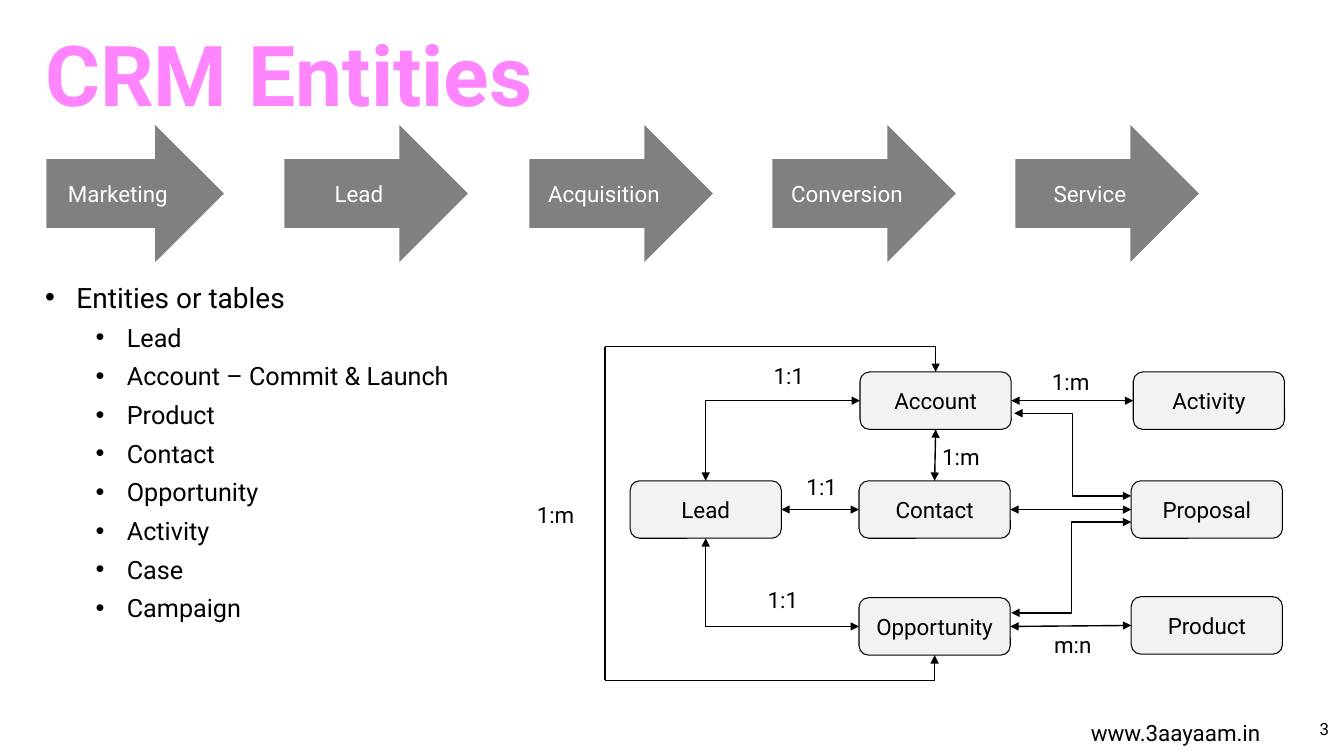
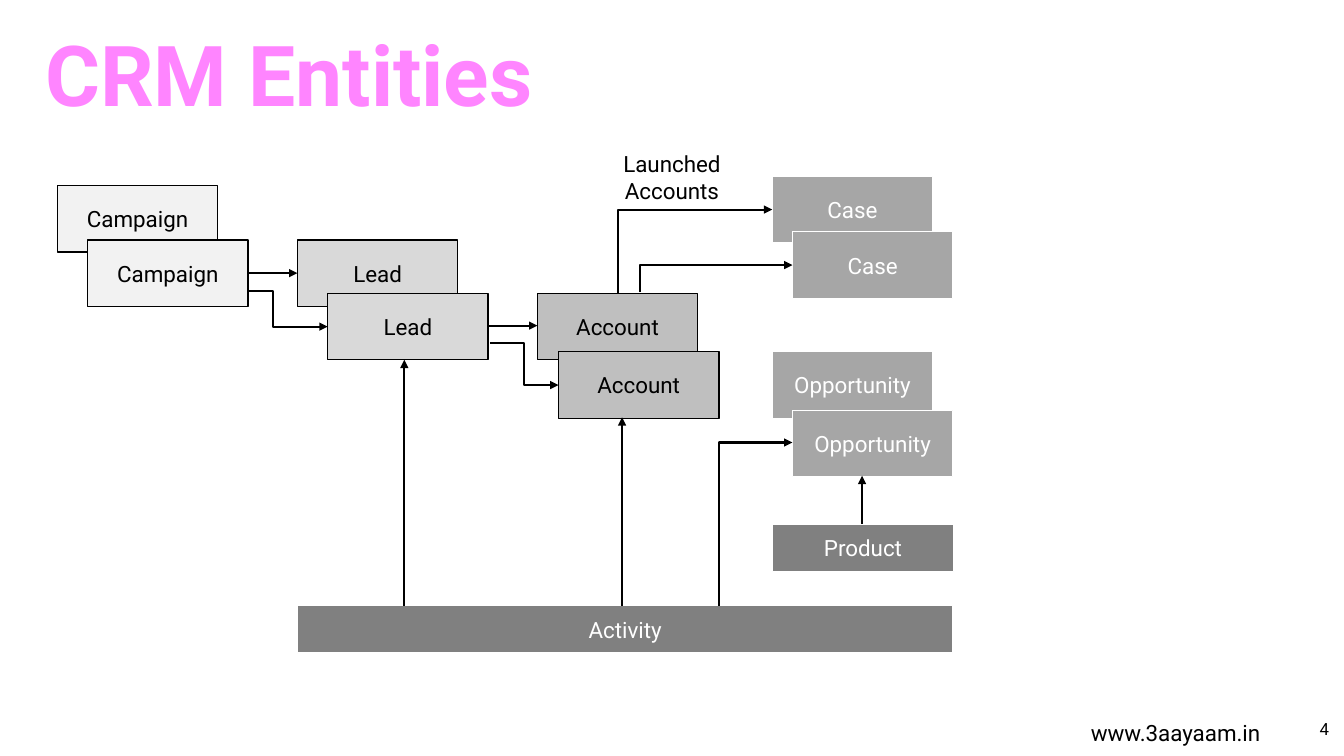
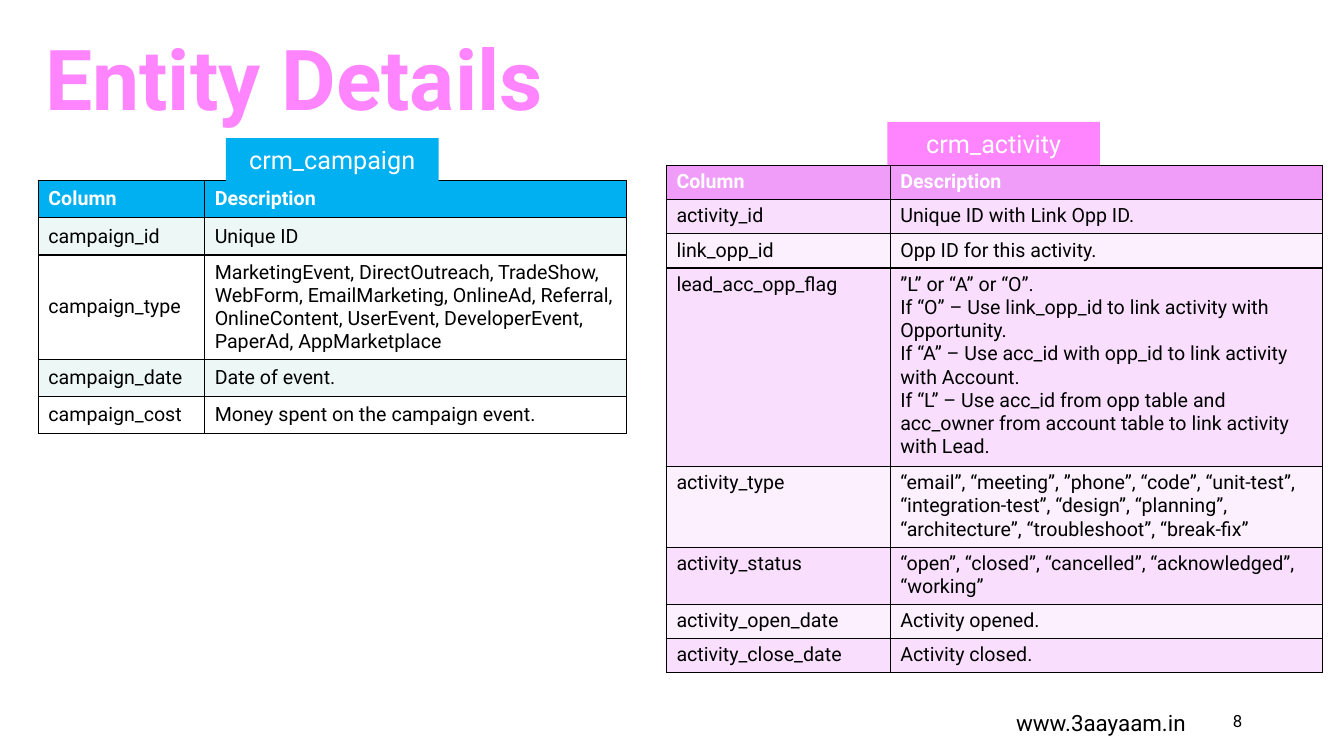
from lxml.etree import SubElement
from pptx import Presentation
from pptx.dml.color import RGBColor
from pptx.enum.shapes import MSO_CONNECTOR, MSO_SHAPE
from pptx.enum.text import MSO_ANCHOR, MSO_AUTO_SIZE, PP_ALIGN
from pptx.oxml.ns import qn
from pptx.util import Inches, Pt

FONT = "Roboto"
BLACK, WHITE, PINK, BLUE = "000000", "FFFFFF", "FF85FF", "00B0F0"
PALE, LIGHT, MID, SOFT, GRAY = "F2F2F2", "D9D9D9", "BFBFBF", "A6A6A6", "808080"
TOP, LEFT, BOTTOM, RIGHT = range(4)


def rgb(code):
    return RGBColor.from_string(code)


def style(para, size, color=BLACK, bold=False, align=PP_ALIGN.LEFT):
    para.alignment = align
    font = para.font
    font.name, font.size, font.bold = FONT, Pt(size), bold
    font.color.rgb = rgb(color)


def text(slide, words, box, size=16, align=PP_ALIGN.CENTER, anchor=MSO_ANCHOR.TOP):
    frame = slide.shapes.add_textbox(*map(Inches, box)).text_frame
    frame.word_wrap = True
    frame.vertical_anchor = anchor
    frame.text = words
    style(frame.paragraphs[0], size, align=align)


def page(deck, title, number, height=1.14, foot=(10.3, 7.07, 2.72, 0.4),
         corner=(12.76, 7.03, 0.52, 0.4)):
    slide = deck.slides.add_slide(deck.slide_layouts[5])
    head = slide.shapes.title
    head.left, head.top, head.width, head.height = map(
        Inches, (0.35, 0.15, 12.57, height))
    frame = head.text_frame
    frame.text = title
    frame.auto_size = MSO_AUTO_SIZE.NONE
    frame.vertical_anchor = MSO_ANCHOR.MIDDLE
    style(frame.paragraphs[0], 60, PINK, True)
    text(slide, "www.3aayaam.in", foot, anchor=MSO_ANCHOR.MIDDLE)
    text(slide, number, corner, 12, PP_ALIGN.RIGHT, MSO_ANCHOR.MIDDLE)
    return slide


def block(slide, kind, words, box, fill, color=WHITE, line=None, width=1, size=16):
    shape = slide.shapes.add_shape(kind, *map(Inches, box))
    shape.shadow.inherit = False
    shape.fill.solid()
    shape.fill.fore_color.rgb = rgb(fill)
    if line:
        shape.line.color.rgb = rgb(line)
        shape.line.width = Pt(width)
    else:
        shape.line.fill.background()
    frame = shape.text_frame
    frame.word_wrap = True
    frame.vertical_anchor = MSO_ANCHOR.MIDDLE
    frame.text = words
    style(frame.paragraphs[0], size, color, align=PP_ALIGN.CENTER)
    return shape


def wire(slide, start, end, width=1.5, head=False, tail=True, bend=None):
    kind = MSO_CONNECTOR.STRAIGHT if bend is None else MSO_CONNECTOR.ELBOW
    line = slide.shapes.add_connector(kind, *map(Inches, (*start, *end)))
    line.line.color.rgb = rgb(BLACK)
    line.line.width = Pt(width)
    props = line._element.spPr
    edge = props.find(qn("a:ln"))
    for tag, shown in (("a:headEnd", head), ("a:tailEnd", tail)):
        if shown:
            SubElement(edge, qn(tag), type="triangle")
    SubElement(props, qn("a:effectLst"))
    if bend is not None:
        values = props.find(qn("a:prstGeom")).find(qn("a:avLst"))
        SubElement(values, qn("a:gd"), name="adj1", fmla=f"val {round(bend * 100000)}")
    return line


def join(slide, first, side, second, other):
    corner = (side + other) % 2 == 1
    line = wire(slide, (0, 0), (1, 1), 1, True, bend=0.5 if corner else None)
    line.begin_connect(first, side)
    line.end_connect(second, other)
    if corner:
        shape = line._element.spPr.find(qn("a:prstGeom"))
        shape.set("prst", "bentConnector2")
        values = shape.find(qn("a:avLst"))
        values.remove(values[0])


def route(slide, points):
    last = len(points) - 2
    for i, (start, end) in enumerate(zip(points, points[1:])):
        wire(slide, start, end, 1, i == 0, i == last)


def outline(slide, items):
    frame = slide.shapes.add_textbox(*map(Inches, (0.35, 2.73, 4.51, 3.53))).text_frame
    frame.word_wrap = True
    for i, words in enumerate(items):
        para = frame.paragraphs[0] if i == 0 else frame.add_paragraph()
        para.text = words
        para.level = min(i, 1)
        para.space_before = Pt(0)
        para.space_after = Pt(6)
        props = para._p.get_or_add_pPr()
        props.set("marL", str(Inches(0.81 if i else 0.31)))
        props.set("indent", str(Inches(-0.31)))
        SubElement(props, qn("a:buFont"), typeface="Arial")
        SubElement(props, qn("a:buChar"), char="•")
        style(para, 18 if i else 20)


def border(cell):
    props = cell._tc.get_or_add_tcPr()
    for side in "LRTB":
        edge = SubElement(props, qn(f"a:ln{side}"), w=str(Pt(1)))
        fill = SubElement(edge, qn("a:solidFill"))
        SubElement(fill, qn("a:srgbClr"), val=BLACK)


def grid(slide, rows, place, cols, base, lines, fills, anchor):
    rows = [("Column", "Description"), *rows]
    tall = [max(base, 0.23 * lines.get(i, 1) + 0.1) for i in range(len(rows))]
    size = (*place, sum(cols), sum(tall))
    table = slide.shapes.add_table(len(rows), 2, *map(Inches, size)).table
    for column, wide in zip(table.columns, cols):
        column.width = Inches(wide)
    for i, row in enumerate(rows):
        table.rows[i].height = Inches(tall[i])
        fill = fills[0] if i == 0 else fills[2 - i % 2]
        for j, words in enumerate(row):
            cell = table.cell(i, j)
            border(cell)
            cell.fill.solid()
            cell.fill.fore_color.rgb = rgb(fill)
            cell.vertical_anchor = anchor
            cell.text = words
            for para in cell.text_frame.paragraphs:
                style(para, 14, BLACK if i else WHITE, i == 0)


def model(deck):
    slide = page(deck, "CRM Entities", "3")
    outline(slide, ("Entities or tables", "Lead", "Account – Commit & Launch", "Product",
                    "Contact", "Opportunity", "Activity", "Case", "Campaign"))
    stages = ("Marketing", "Lead", "Acquisition", "Conversion", "Service")
    lefts = (0.46, 2.82, 5.25, 7.66, 10.07)
    for words, left in zip(stages, lefts):
        wide = 1.76 if words == "Marketing" else 1.82
        block(slide, MSO_SHAPE.RIGHT_ARROW, words, (left, 1.24, wide, 1.36), GRAY)
    nodes = {}
    for words, left, top in (
            ("Lead", 6.25, 4.77), ("Account", 8.53, 3.69), ("Contact", 8.52, 4.77),
            ("Opportunity", 8.52, 5.93), ("Activity", 11.24, 3.69),
            ("Product", 11.22, 5.92), ("Proposal", 11.22, 4.77)):
        nodes[words] = block(slide, MSO_SHAPE.ROUNDED_RECTANGLE, words,
                             (left, top, 1.5, 0.57), PALE, BLACK, BLACK, 0.75)
    for first, side, second, other in (
            ("Account", LEFT, "Lead", TOP),
            ("Opportunity", LEFT, "Lead", BOTTOM),
            ("Lead", RIGHT, "Contact", LEFT),
            ("Account", BOTTOM, "Contact", TOP),
            ("Account", RIGHT, "Activity", LEFT),
            ("Opportunity", RIGHT, "Product", LEFT),
            ("Contact", RIGHT, "Proposal", LEFT)):
        join(slide, nodes[first], side, nodes[second], other)
    route(slide, ((9.28, 3.69), (9.28, 3.44), (6, 3.44), (6, 6.75), (9.27, 6.75),
                  (9.27, 6.5)))
    wire(slide, (11.22, 4.92), (10.06, 4.1), 1, True, bend=0.5)
    wire(slide, (11.22, 5.18), (10.03, 6.08), 1, True, bend=0.5)
    for words, left, top, wide in (
            ("1:1", 7.38, 3.54, 0.89), ("1:1", 7.84, 4.64, 0.62),
            ("1:1", 7.32, 5.77, 0.89), ("1:m", 9.22, 4.35, 0.62),
            ("1:m", 5.2, 4.92, 0.62), ("1:m", 10.31, 3.6, 0.62),
            ("m:n", 10.33, 6.21, 0.62)):
        text(slide, words, (left, top, wide, 0.37))


def flow(deck):
    slide = page(deck, "CRM Entities", "4")
    for words, fill, color, spots in (
            ("Campaign", PALE, BLACK, ((0.57, 1.84), (0.87, 2.38))),
            ("Lead", LIGHT, BLACK, ((2.95, 2.38), (3.25, 2.91))),
            ("Account", MID, BLACK, ((5.33, 2.91), (5.54, 3.49))),
            ("Opportunity", SOFT, WHITE, ((7.66, 3.49), (7.86, 4.07))),
            ("Case", SOFT, WHITE, ((7.66, 1.75), (7.86, 2.3)))):
        for spot in spots:
            block(slide, MSO_SHAPE.RECTANGLE, words, (*spot, 1.59, 0.66), fill, color, color)
    for words, box in (("Product", (7.66, 5.2, 1.8, 0.47)),
                       ("Activity", (2.95, 6.01, 6.5, 0.47))):
        block(slide, MSO_SHAPE.RECTANGLE, words, box, GRAY, WHITE, WHITE)
    for start, end, bend in (
            ((8.55, 5.2), (8.55, 4.72), None),
            ((6.17, 6.01), (6.17, 4.14), None),
            ((4.01, 6.01), (4.01, 3.57), None),
            ((2.46, 2.71), (2.95, 2.71), None),
            ((4.84, 3.23), (5.33, 3.23), None),
            ((7.13, 6.01), (7.86, 4.39), 0),
            ((6.13, 2.91), (7.66, 2.08), 0),
            ((6.35, 2.9), (7.86, 2.63), 0),
            ((4.86, 3.4), (5.54, 3.82), 0.5),
            ((2.47, 2.89), (3.25, 3.24), 0.3)):
        wire(slide, start, end, bend=bend)
    text(slide, "Launched Accounts", (5.88, 1.44, 1.57, 0.64))


def details(deck):
    slide = page(deck, "Entity Details", "8", 1.23, (9.85, 6.97, 2.14, 0.4),
                 (9.42, 6.95, 3, 0.4))
    flag = "\n".join((
        "”L” or “A” or “O”.",
        "If “O” – Use link_opp_id to link activity with Opportunity.",
        "If “A” – Use acc_id with opp_id to link activity with Account.",
        "If “L” – Use acc_id from opp table and acc_owner from account table "
        "to link activity with Lead."))
    grid(slide, (
        ("activity_id", "Unique ID with Link Opp ID."),
        ("link_opp_id", "Opp ID for this activity."),
        ("lead_acc_opp_flag", flag),
        ("activity_type", "“email”, “meeting”, ”phone”, “code”, “unit-test”, "
         "“integration-test”, “design”, “planning”, “architecture”, "
         "“troubleshoot”, “break-fix”"),
        ("activity_status", "“open”, “closed”, “cancelled”, “acknowledged”, “working”"),
        ("activity_open_date", "Activity opened."),
        ("activity_close_date", "Activity closed."),
    ), (6.61, 1.64), (2.22, 4.29), 0.34, {3: 8, 4: 3, 5: 2},
        ("F09DF9", "F9DFFD", "FCEFFE"), MSO_ANCHOR.TOP)
    grid(slide, (
        ("campaign_id", "Unique ID"),
        ("campaign_type", "MarketingEvent, DirectOutreach, TradeShow, WebForm, "
         "EmailMarketing, OnlineAd, Referral, OnlineContent, UserEvent, "
         "DeveloperEvent, PaperAd, AppMarketplace"),
        ("campaign_date", "Date of event."),
        ("campaign_cost", "Money spent on the campaign event."),
    ), (0.38, 1.79), (1.65, 4.18), 0.37, {2: 4},
        (BLUE, "EDF8F6", WHITE), MSO_ANCHOR.MIDDLE)
    for words, left, top, fill in (("crm_activity", 8.8, 1.21, PINK),
                                   ("crm_campaign", 2.24, 1.37, BLUE)):
        block(slide, MSO_SHAPE.RECTANGLE, words, (left, top, 2.11, 0.43), fill, size=18)


def main():
    deck = Presentation()
    deck.slide_width, deck.slide_height = Inches(13.33), Inches(7.5)
    model(deck)
    flow(deck)
    details(deck)
    deck.save("out.pptx")


if __name__ == "__main__":
    main()
